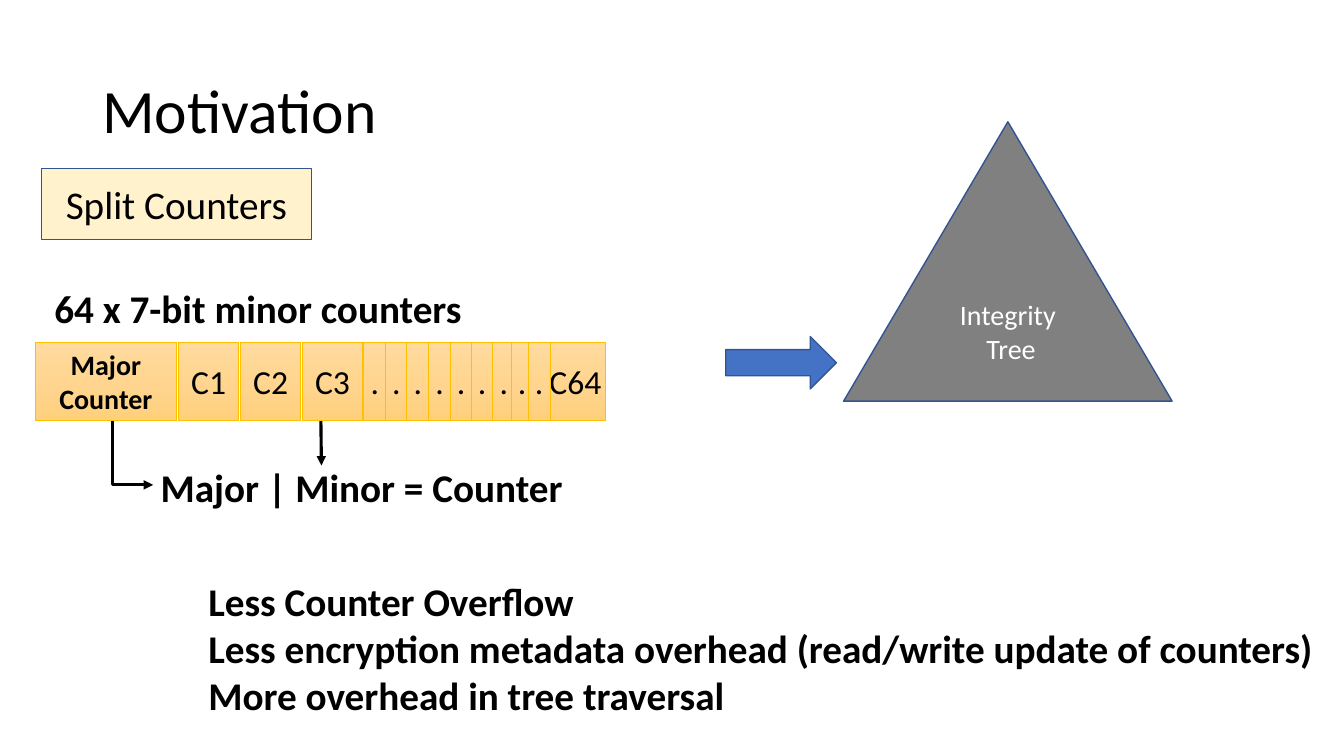
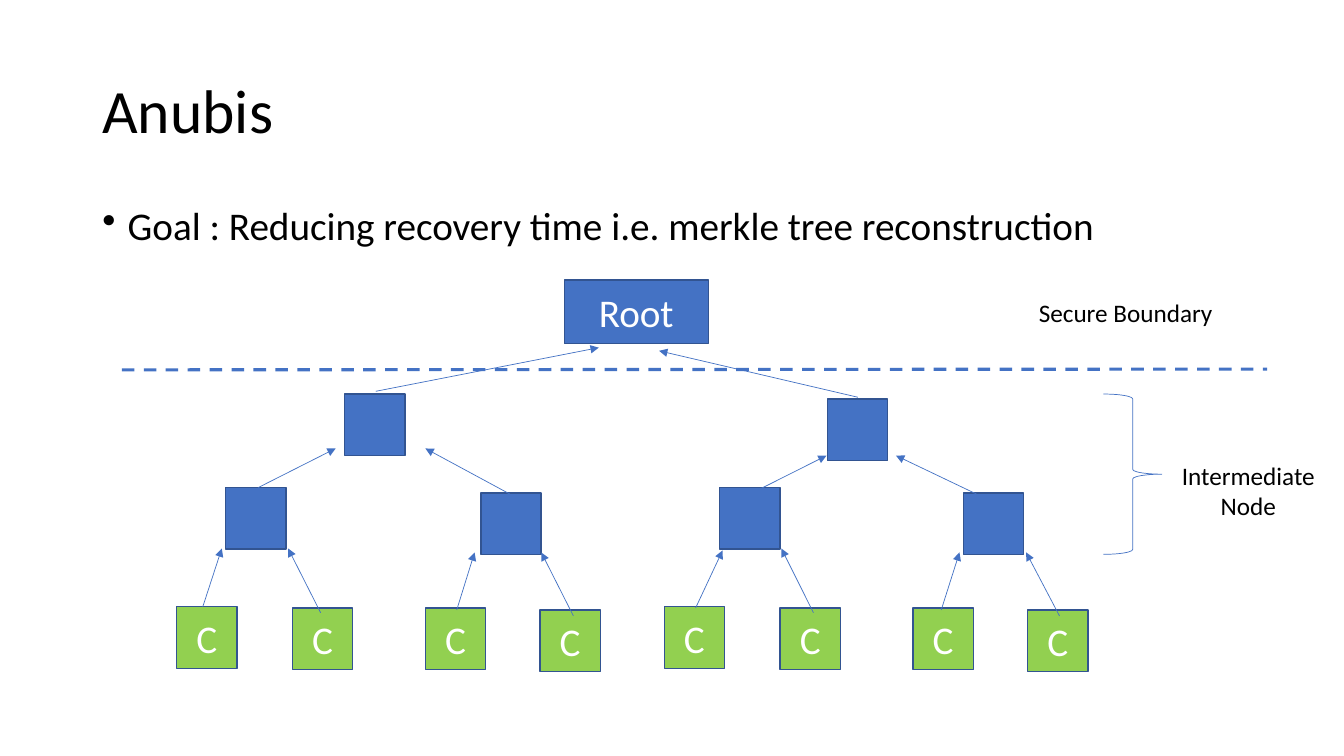
from copy import deepcopy
from dataclasses import dataclass, replace
from typing import Optional

from lxml import etree
from pptx import Presentation
from pptx import util as u
from pptx.dml import color
from pptx.enum import dml, shapes, text
from pptx.oxml import ns

KIND = shapes.MSO_SHAPE
LEFT, MID = text.PP_ALIGN.LEFT, text.PP_ALIGN.CENTER


@dataclass(frozen=True)
class Theme:
    font: str = "Calibri"
    black: str = "000000"
    white: str = "FFFFFF"
    blue: str = "4472C4"
    edge: str = "325491"
    gray: str = "808080"
    green: str = "92D050"
    cream: str = "FFF2CC"
    gold: str = "FFC000"
    fade: tuple[str, ...] = ("FFDB9E", "FFD590", "FFD07C")
    title: int = 44
    body: int = 28
    cell: int = 24
    small: int = 20
    note: int = 18
    thin: float = 0.5
    rim: float = 1
    thick: float = 2.25


T = Theme()


@dataclass(frozen=True)
class Box:
    left: float
    top: float
    width: float
    height: float
    words: str = ""
    kind: Optional[KIND] = None
    fill: Optional[str | tuple[str, ...]] = None
    line: str = T.edge
    rim: float = T.rim
    size: int = T.body
    ink: str = T.black
    bold: bool = False
    align: text.PP_ALIGN = MID
    center: bool = True
    pad: float = 0.25
    space: Optional[float] = None


@dataclass(frozen=True)
class Link:
    x: float
    y: float
    to_x: float
    to_y: float
    ink: str = T.blue
    width: float = T.thin
    arrow: bool = True
    dash: bool = False


def rgb(code: str):
    return color.RGBColor.from_string(code)


def paint(shape, box: Box) -> None:
    shape.shadow.inherit = False
    shape.line.color.rgb = rgb(box.line)
    shape.line.width = u.Pt(box.rim)
    if box.fill is None:
        shape.fill.background()
    elif isinstance(box.fill, str):
        shape.fill.solid()
        shape.fill.fore_color.rgb = rgb(box.fill)
    else:
        shape.fill.gradient()
        shape.fill.gradient_angle = 270
        stops = shape._element.spPr.find(".//" + ns.qn("a:gsLst"))
        stops.append(deepcopy(stops[0]))
        for i, (stop, code) in enumerate(zip(shape.fill.gradient_stops, box.fill)):
            stop.position = i / 2
            stop.color.rgb = rgb(code)


def draw(slide, box: Box):
    area = [u.Cm(n) for n in (box.left, box.top, box.width, box.height)]
    if box.kind is None:
        shape = slide.shapes.add_textbox(*area)
    else:
        shape = slide.shapes.add_shape(box.kind, *area)
        paint(shape, box)
    if box.words:
        write(shape.text_frame, box)
    return shape


def write(frame, box: Box) -> None:
    frame.word_wrap = True
    frame.margin_left = frame.margin_right = u.Cm(box.pad)
    anchor = text.MSO_ANCHOR
    frame.vertical_anchor = anchor.MIDDLE if box.center else anchor.TOP
    frame.text = box.words
    for para in frame.paragraphs:
        para.alignment = box.align
        para.line_spacing = box.space
        para.font.name = T.font
        para.font.size = u.Pt(box.size)
        para.font.bold = box.bold
        para.font.color.rgb = rgb(box.ink)


def join(slide, link: Link, kind=shapes.MSO_CONNECTOR.STRAIGHT):
    ends = [u.Cm(n) for n in (link.x, link.y, link.to_x, link.to_y)]
    wire = slide.shapes.add_connector(kind, *ends)
    wire.line.color.rgb = rgb(link.ink)
    wire.line.width = u.Pt(link.width)
    if link.dash:
        wire.line.dash_style = dml.MSO_LINE.DASH
    props = wire._element.spPr
    if link.arrow:
        stroke = props.find(ns.qn("a:ln"))
        etree.SubElement(stroke, ns.qn("a:tailEnd"), type="triangle")
    etree.SubElement(props, ns.qn("a:effectLst"))
    return wire


def bend(slide, link: Link) -> None:
    props = join(slide, link, shapes.MSO_CONNECTOR.ELBOW)._element.spPr
    props.prstGeom.set("prst", "bentConnector2")
    props.xfrm.set("rot", "5400000")
    props.xfrm.set("flipV", "1")


def point(shape) -> None:
    para = shape.text_frame.paragraphs[0]
    para.space_before = u.Pt(10)
    props = para._p.get_or_add_pPr()
    props.set("marL", str(u.Cm(0.64)))
    props.set("indent", str(-u.Cm(0.64)))
    mark = etree.Element(ns.qn("a:buChar"), char="•")
    props.insert_element_before(mark, "a:tabLst", "a:defRPr", "a:extLst")


def start(deck, name: str):
    slide = deck.slides.add_slide(deck.slide_layouts[6])
    draw(slide, Box(2.33, 1.01, 29.21, 3.68, name, size=T.title, align=LEFT, space=0.9))
    return slide


def cells(slide) -> None:
    cell = Box(0, 8.63, 1.52, 1.96, kind=KIND.RECTANGLE, fill=T.fade,
               line=T.gold, rim=T.thin, size=T.cell, pad=0)
    for i in range(3):
        draw(slide, replace(cell, left=4.5 + 1.56 * i, words=f"C{i + 1}"))
    draw(slide, replace(cell, left=13.74, words="C64"))
    draw(slide, replace(cell, left=0.89, width=3.56, words="Major\nCounter",
                        size=T.small, bold=True))
    for left in (9.17, 9.71, 10.25, 10.8, 11.34, 11.87, 12.42, 12.88, 13.31):
        draw(slide, replace(cell, left=left, width=0.56, words="."))


def motive(deck) -> None:
    slide = start(deck, "Motivation")
    pen = Link(8.08, 10.03, 8.1, 11.73, T.black, T.thick)
    join(slide, pen)
    bend(slide, replace(pen, x=2.46, y=10.82, to_x=4.24, to_y=11.84))
    cells(slide)
    for box in (
        Box(3.18, 11.56, 11.86, 1.45, "Major | Minor = Counter", bold=True, center=False),
        Box(1.04, 4.24, 6.81, 1.8, "Split Counters", KIND.RECTANGLE, T.cream),
        Box(1.12, 7.04, 12.93, 1.45, "64 x 7-bit minor counters",
            bold=True, align=LEFT, center=False),
        Box(18.29, 8.48, 2.79, 1.32, kind=KIND.RIGHT_ARROW, fill=T.blue),
        Box(21.26, 3.07, 8.28, 7.04, "Integrity\n Tree", KIND.ISOSCELES_TRIANGLE,
            T.gray, size=T.small, ink=T.white),
        Box(5, 14.43, 28.8, 3.84,
            "Less Counter Overflow\n"
            "Less encryption metadata overhead (read/write update of counters)\n"
            "More overhead in tree traversal",
            bold=True, align=LEFT, center=False),
    ):
        draw(slide, box)


NODES = (
    (5.69, 12.29), (12.12, 12.42), (18.14, 12.29), (24.28, 12.42),
    (8.69, 9.93), (20.85, 10.06),
)
LEAVES = ((4.45, 15.29), (7.37, 15.32), (10.72, 15.32), (13.61, 15.37))
HALF = 12.29
LINKS = (
    Link(5.11, 15.29, 5.59, 13.82), Link(8.08, 15.44, 7.26, 13.82),
    Link(11.51, 15.37, 11.96, 13.92), Link(14.45, 15.52, 13.64, 13.92),
    Link(17.53, 15.32, 18.21, 13.87), Link(20.5, 15.44, 19.69, 13.82),
    Link(23.72, 15.37, 24.18, 13.92), Link(26.7, 15.52, 25.86, 13.92),
    Link(6.5, 12.29, 8.46, 11.3), Link(12.85, 12.45, 10.72, 11.3),
    Link(18.9, 12.45, 20.83, 11.48), Link(24.61, 12.45, 22.58, 11.48),
    Link(9.47, 9.86, 15.09, 8.76), Link(21.62, 10.01, 16.61, 8.84),
    Link(3.07, 9.32, 31.93, 9.3, width=T.thick, arrow=False, dash=True),
)


def tree(deck) -> None:
    slide = start(deck, "Anubis")
    point(draw(slide, Box(
        2.33, 5.07, 29.21, 12.09,
        "Goal : Reducing recovery time i.e. merkle tree reconstruction",
        align=LEFT, center=False, space=0.9)))
    node = Box(0, 0, 1.52, 1.55, kind=KIND.RECTANGLE, fill=T.blue, ink=T.white)
    for shift in (0, HALF):
        for left, top in LEAVES:
            draw(slide, replace(node, left=left + shift, top=top,
                                words="C", fill=T.green))
    for left, top in NODES:
        draw(slide, replace(node, left=left, top=top))
    draw(slide, replace(node, left=14.22, top=7.06, width=3.63, height=1.6, words="Root"))
    for link in LINKS:
        join(slide, link)
    draw(slide, Box(25.93, 7.37, 7.62, 1.03, "Secure Boundary",
                    size=T.note, align=LEFT, center=False))
    draw(slide, Box(27.81, 9.93, 1.47, 4.04, kind=KIND.RIGHT_BRACE,
                    line=T.blue, rim=T.thin))
    draw(slide, Box(29.49, 11.48, 3.94, 1.8, "Intermediate\nNode",
                    size=T.note, center=False))


def main() -> None:
    deck = Presentation()
    deck.slide_width, deck.slide_height = u.Cm(33.87), u.Cm(19.05)
    motive(deck)
    tree(deck)
    deck.save("out.pptx")


main()
